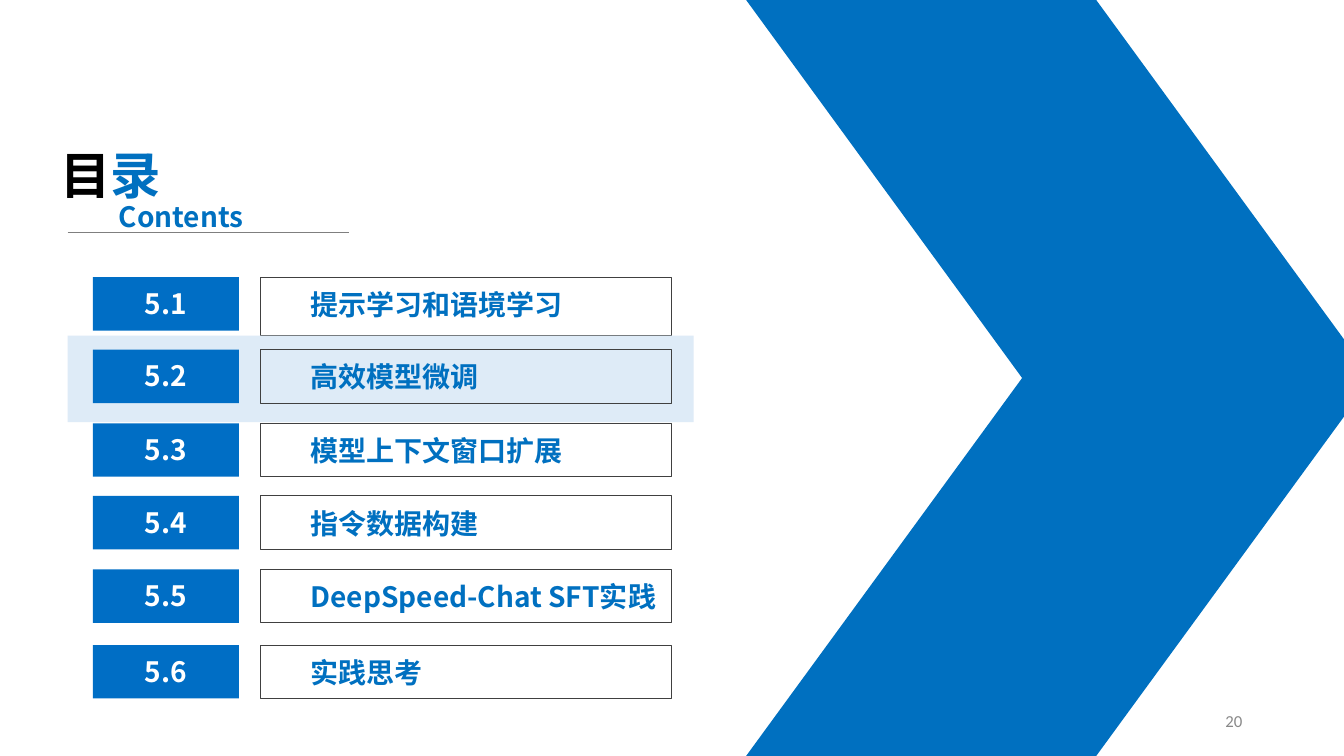
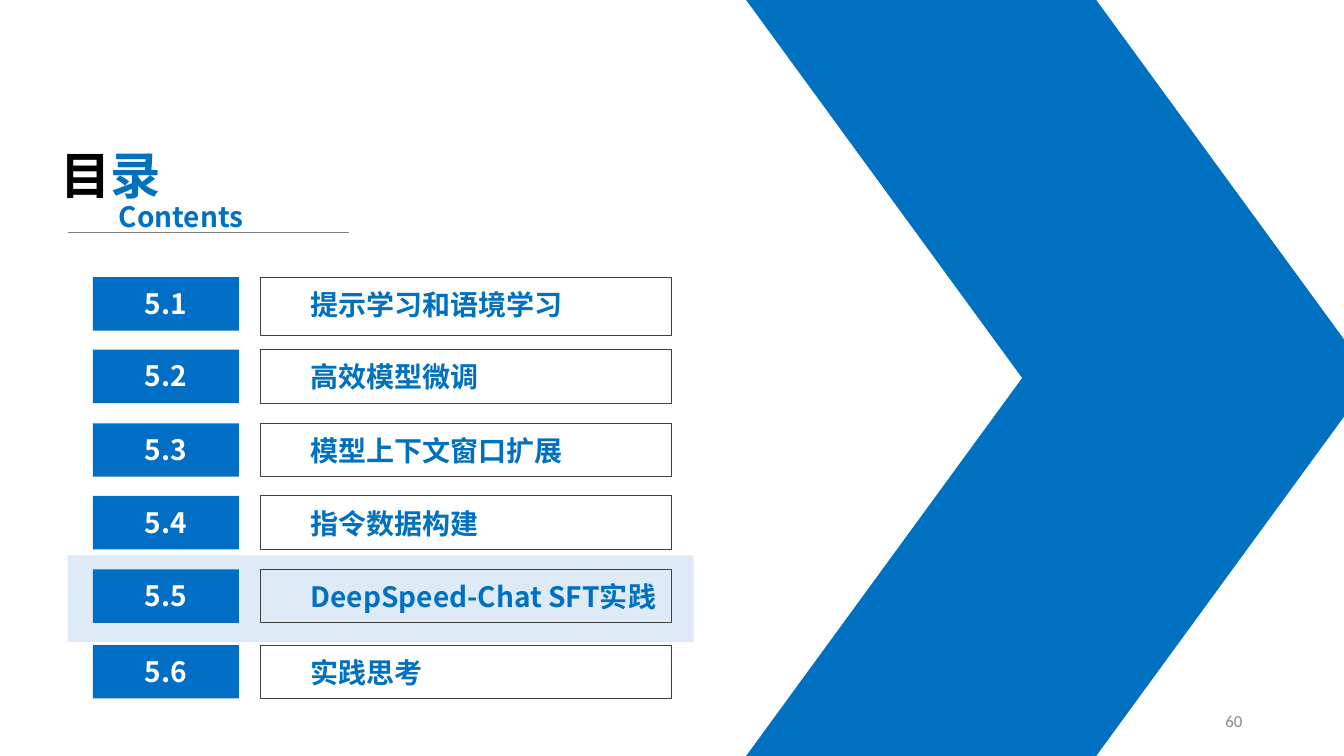
from dataclasses import dataclass

from lxml import etree
from pptx import Presentation
from pptx.dml.color import RGBColor
from pptx.enum.shapes import MSO_CONNECTOR, MSO_SHAPE
from pptx.enum.text import MSO_ANCHOR, PP_ALIGN
from pptx.oxml.ns import qn
from pptx.util import Inches, Pt

RECT, SLANT = MSO_SHAPE.RECTANGLE, MSO_SHAPE.PARALLELOGRAM
STRAIGHT = MSO_CONNECTOR.STRAIGHT
TOP, MIDDLE = MSO_ANCHOR.TOP, MSO_ANCHOR.MIDDLE
LEFT, CENTER, RIGHT = PP_ALIGN.LEFT, PP_ALIGN.CENTER, PP_ALIGN.RIGHT
TITLE_ONLY = 5


@dataclass(frozen=True)
class Theme:
    blue: str = "0070C0"
    number_fill: str = "006EC5"
    highlight: str = "DEEBF7"
    outline: str = "404040"
    rule: str = "7F7F7F"
    page: str = "898989"
    black: str = "000000"
    white: str = "FFFFFF"
    font: str = "Noto Sans CJK SC"
    page_font: str = "Calibri"
    title_size: int = 36
    entry_size: int = 20
    page_size: int = 12


THEME = Theme()

# Section number, section title, distance from the top of the list
SECTIONS = [
    ("5.1", "提示学习和语境学习", 0),
    ("5.2", "高效模型微调", 0.72),
    ("5.3", "模型上下文窗口扩展", 1.45),
    ("5.4", "指令数据构建", 2.17),
    ("5.5", "DeepSpeed-Chat SFT实践", 2.9),
    ("5.6", "实践思考", 3.65),
]
# Page number and the section it opens
PAGES = [("20", "5.2"), ("60", "5.5")]


def inches(*lengths):
    return [Inches(length) for length in lengths]


def write(frame, text, *, color=THEME.blue, size=THEME.entry_size, font=THEME.font,
          bold=True, align=LEFT, anchor=TOP, insets=(0.1, 0.05, 0.1, 0.05)):
    """Append a run to the first paragraph and format its frame."""
    frame.word_wrap = True
    frame.vertical_anchor = anchor
    (frame.margin_left, frame.margin_top,
     frame.margin_right, frame.margin_bottom) = inches(*insets)
    paragraph = frame.paragraphs[0]
    paragraph.alignment = align
    run = paragraph.add_run()
    run.text = text
    run.font.size = Pt(size)
    run.font.bold = bold
    run.font.color.rgb = RGBColor.from_string(color)
    run.font.name = font
    east_asian = etree.Element(qn("a:ea"), typeface=font)
    run.font._element.find(qn("a:latin")).addnext(east_asian)


def add_box(slide, box, *, kind=RECT, fill=None, line=None):
    shape = slide.shapes.add_shape(kind, *inches(*box))
    shape.shadow.inherit = False
    if fill:
        shape.fill.solid()
        shape.fill.fore_color.rgb = RGBColor.from_string(fill)
    else:
        shape.fill.background()
    if line:
        shape.line.color.rgb = RGBColor.from_string(line)
        shape.line.width = Pt(0.75)
    else:
        shape.line.fill.background()
    return shape


def add_arrow(slide, left, top, width, height):
    """Large arrow made of two mirrored slanted halves."""
    half = height / 2
    for half_top, mirrored in ((top + half, False), (top, True)):
        slant = add_box(slide, (left, half_top, width, half), kind=SLANT, fill=THEME.blue)
        slant.adjustments[0] = 0.73
        if mirrored:
            slant.element.spPr.find(qn("a:xfrm")).set("flipV", "1")


def add_heading(slide, left, top):
    """Two-colour title, English subtitle and the rule below."""
    title = slide.shapes.title
    title.left, title.top, title.width, title.height = inches(left, top, 1.57, 0.71)
    write(title.text_frame, "目", color=THEME.black, size=THEME.title_size)
    write(title.text_frame, "录", size=THEME.title_size)

    rule_top = top + 0.93
    rule = slide.shapes.add_connector(
        STRAIGHT, *inches(left + 0.17, rule_top, left + 2.96, rule_top))
    rule.line.color.rgb = RGBColor.from_string(THEME.rule)
    rule.line.width = Pt(0.5)
    etree.SubElement(rule.element.spPr, qn("a:effectLst"))

    subtitle = slide.shapes.add_textbox(*inches(left + 0.58, top + 0.55, 1.57, 0.44))
    write(subtitle.text_frame, "Contents")


def add_section_list(slide, left, top, current):
    """Numbered sections, with a band behind the current one."""
    for number, section, offset in SECTIONS:
        row_top = top + offset
        if number == current:
            add_box(slide, (left - 0.25, row_top - 0.14, 6.21, 0.86), fill=THEME.highlight)
        # The first frame is slightly taller than the others
        frame_height = 0.53 if offset else 0.58
        section_box = add_box(slide, (left + 1.66, row_top, 4.08, frame_height),
                              line=THEME.outline)
        write(section_box.text_frame, section, insets=(0.5, 0.1, 0, 0))
        number_box = add_box(slide, (left, row_top, 1.45, 0.53), fill=THEME.number_fill)
        write(number_box.text_frame, number, color=THEME.white, align=CENTER,
              insets=(0, 0.09, 0, 0))


def add_page_number(slide, left, top, page):
    page_box = slide.shapes.add_textbox(*inches(left, top, 3, 0.4))
    write(page_box.text_frame, page, color=THEME.page, size=THEME.page_size,
          font=THEME.page_font, bold=False, align=RIGHT, anchor=MIDDLE)


def add_contents_slide(deck, page, current):
    slide = deck.slides.add_slide(deck.slide_layouts[TITLE_ONLY])
    add_arrow(slide, 7.4, 0, 6.21, 7.5)
    add_heading(slide, 0.5, 1.38)
    add_section_list(slide, 0.92, 2.75, current)
    add_page_number(slide, 9.42, 6.95, page)


def main():
    deck = Presentation()
    deck.slide_width, deck.slide_height = inches(13.33, 7.5)
    for page, current in PAGES:
        add_contents_slide(deck, page, current)
    deck.save("out.pptx")


if __name__ == "__main__":
    main()
